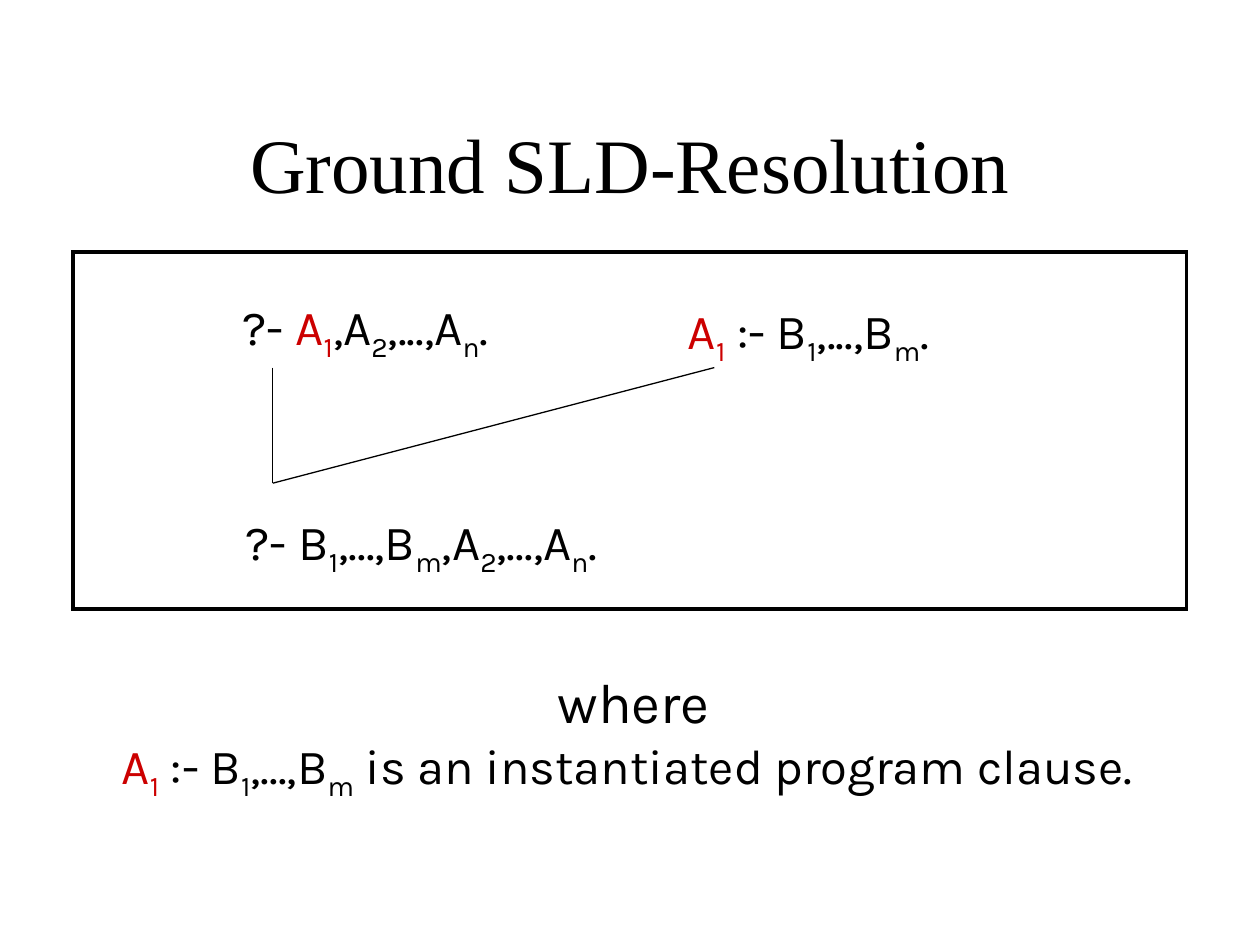
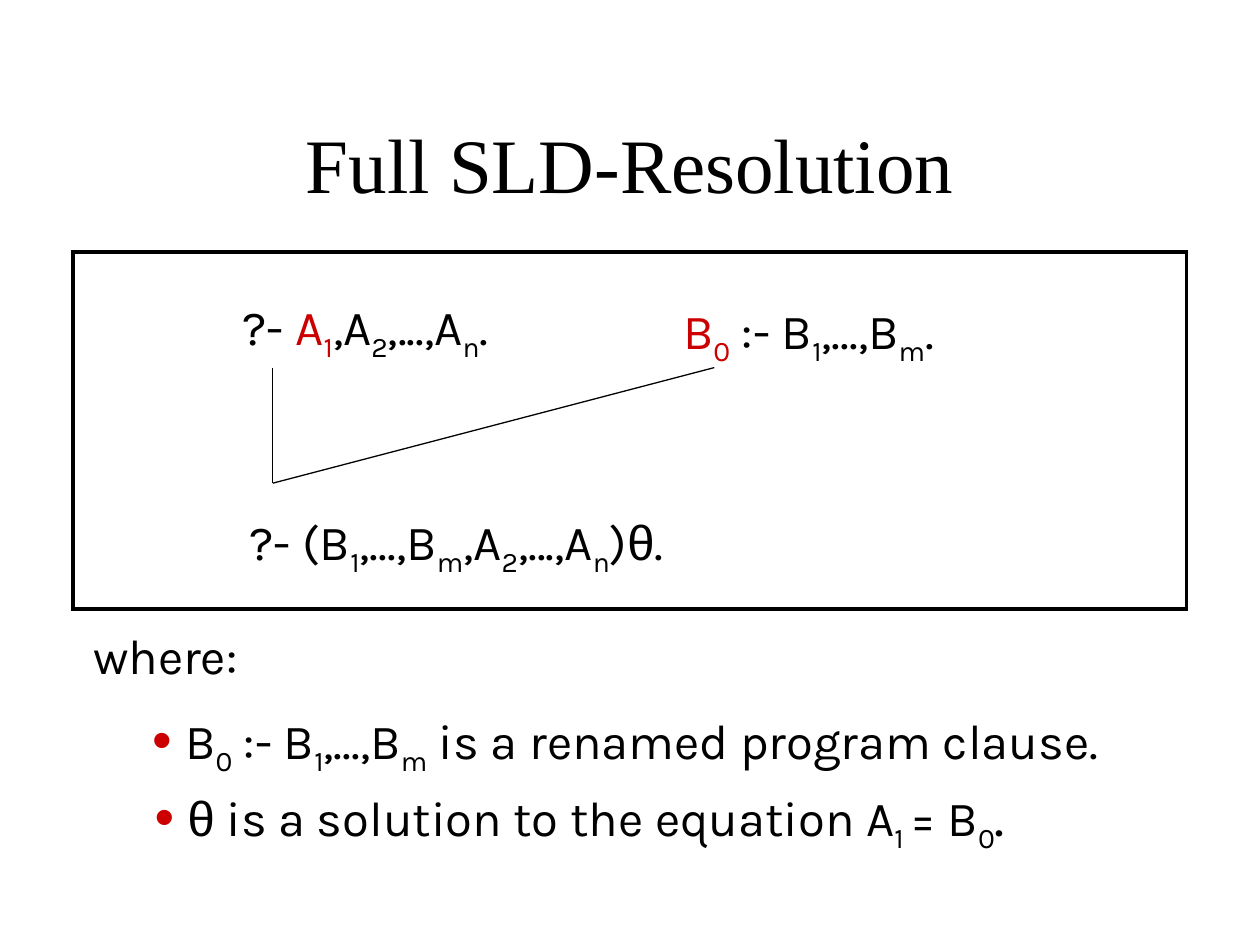
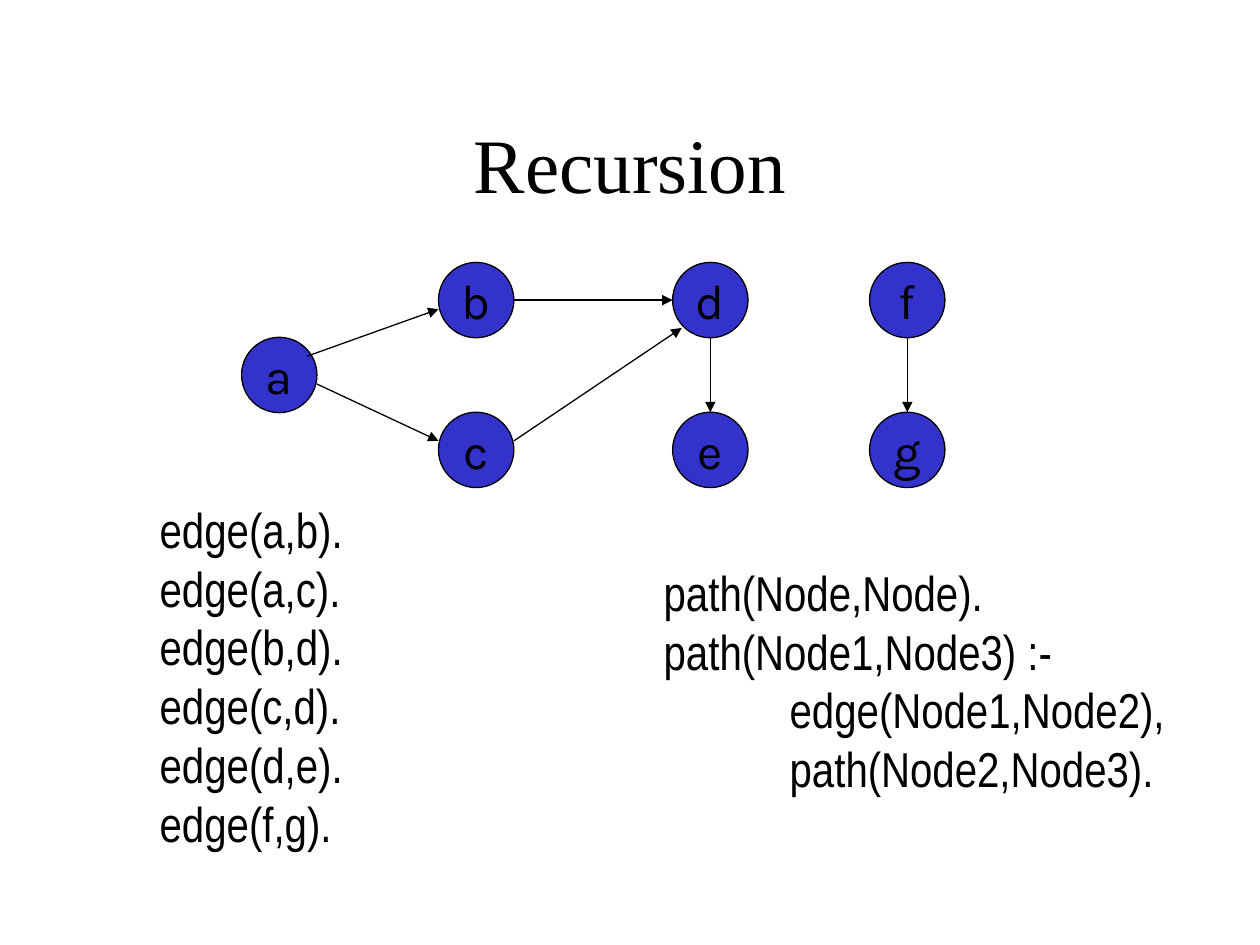
from lxml import etree
from pptx import Presentation
from pptx import util as u
from pptx.dml.color import RGBColor
from pptx.enum import shapes, text
from pptx.oxml import ns

COLORS = {"ink": "000000", "paper": "FFFFFF", "accent": "CC0000", "node": "3333CC"}
BODY, TITLE, CODE, GREEK = "Karla", "Times New Roman", "Arial Narrow", "Arial"
BULLET = "Arial"
LEFT, CENTER = text.PP_ALIGN.LEFT, text.PP_ALIGN.CENTER

# Graph: node positions (cm) and edges with their ends as fractions of a node
DIAMETER = 1.52
COLUMNS = (4.87, 8.84, 13.56, 17.53)
UPPER, MIDDLE, LOWER = 5.29, 6.8, 8.31
NODES = {
    "a": (COLUMNS[0], MIDDLE),
    "b": (COLUMNS[1], UPPER), "c": (COLUMNS[1], LOWER),
    "d": (COLUMNS[2], UPPER), "e": (COLUMNS[2], LOWER),
    "f": (COLUMNS[3], UPPER), "g": (COLUMNS[3], LOWER),
}
EDGES = [
    ("a", (0.87, 0.25), "b", (0, 0.62)),
    ("a", (1, 0.62), "c", (0, 0.38)),
    ("b", (1, 0.5), "d", (0, 0.5)),
    ("c", (1, 0.38), "d", (0.12, 0.87)),
    ("d", (0.5, 1), "e", (0.5, 0)),
    ("f", (0.5, 1), "g", (0.5, 0)),
]


def color(name):
    return RGBColor.from_string(COLORS[name])


# Runs: (text, options)
def plain(words, **options):
    return (words, options)


def atom(letter, index, **options):
    """A letter with its subscript."""
    return [(letter, options), (index, {**options, "sub": True})]


def sequence(letter, first, last):
    return [*atom(letter, first), plain(",...,"), *atom(letter, last)]


B_BODY = sequence("B", "1", "m")
A_REST = sequence("A", "2", "n")


def clause(head, index, ending, shade="accent"):
    return [*atom(head, index, shade=shade), plain(" :- "), *B_BODY, plain(ending)]


def add_run(paragraph, words, size=28, font=BODY, shade="ink", sub=False):
    run = paragraph.add_run()
    run.text = words
    run.font.size, run.font.name = u.Pt(size), font
    run.font.color.rgb = color(shade)
    if sub:
        run.font._element.set("baseline", "-25000")


def fill_paragraphs(frame, lines, align=LEFT):
    for number, runs in enumerate(lines):
        paragraph = frame.paragraphs[0] if number == 0 else frame.add_paragraph()
        paragraph.alignment = align
        for words, options in runs:
            add_run(paragraph, words, **options)


def add_text(slide, left, top, width, height, lines, align=LEFT, wrap=False):
    box = slide.shapes.add_textbox(u.Cm(left), u.Cm(top), u.Cm(width), u.Cm(height))
    frame = box.text_frame
    frame.word_wrap = wrap
    frame.auto_size = text.MSO_AUTO_SIZE.SHAPE_TO_FIT_TEXT
    fill_paragraphs(frame, lines, align)
    return frame


def add_title(slide, words):
    frame = add_text(slide, 1.91, 1.7, 21.59, 3.18,
                     [[plain(words, size=44, font=TITLE)]], CENTER, wrap=True)
    frame.auto_size = text.MSO_AUTO_SIZE.NONE
    frame.vertical_anchor = text.MSO_ANCHOR.MIDDLE


def add_figure(slide, kind, left, top, width, height, fill, outline, weight=0.75):
    figure = slide.shapes.add_shape(kind, u.Cm(left), u.Cm(top), u.Cm(width), u.Cm(height))
    figure.shadow.inherit = False
    figure.fill.solid()
    figure.fill.fore_color.rgb = color(fill)
    figure.line.color.rgb = color(outline)
    figure.line.width = u.Pt(weight)
    etree.SubElement(figure.line._get_or_add_ln(), ns.qn("a:miter"), lim="800000")
    return figure


def add_line(slide, start, end, arrow=False):
    line = slide.shapes.add_connector(
        shapes.MSO_CONNECTOR.STRAIGHT, *(u.Cm(value) for value in (*start, *end)))
    line.line.color.rgb = color("ink")
    line.line.width = u.Pt(0.75)
    if arrow:
        etree.SubElement(line.line._get_or_add_ln(), ns.qn("a:tailEnd"), type="triangle")
    etree.SubElement(line._element.spPr, ns.qn("a:effectLst"))


def add_bullet(slide, left, top, width, runs):
    frame = add_text(slide, left, top, width, 1.75,
                     [[plain(" ", size=32, shade="accent"), *runs]])
    properties = frame.paragraphs[0]._p.get_or_add_pPr()
    properties.set("marL", "0")
    properties.set("indent", "0")
    shade = etree.SubElement(properties, ns.qn("a:buClr"))
    etree.SubElement(shade, ns.qn("a:srgbClr"), val=COLORS["accent"])
    etree.SubElement(properties, ns.qn("a:buFont"), typeface=BULLET)
    etree.SubElement(properties, ns.qn("a:buChar"), char="•")


def add_resolution(slide, head, index, resolvent, left, width):
    """Frame with a goal and a clause that lead to the resolvent."""
    rectangle = shapes.MSO_SHAPE.RECTANGLE
    add_figure(slide, rectangle, 1.48, 5.08, 22.44, 7.2, "paper", "ink", 2.25)
    goal = [plain("?- "), *atom("A", "1", shade="accent"), plain(","), *A_REST, plain(".")]
    add_text(slide, 4.64, 5.85, 6.25, 1.6, [goal])
    add_figure(slide, rectangle, 4.24, 7.41, 14.81, 4.45, "paper", "paper")
    meeting = (5.5, 9.74)
    add_line(slide, (5.5, 7.41), meeting)
    add_line(slide, meeting, (14.4, 7.41))
    add_text(slide, 10.8, 5.93, 11, 1.6, [clause(head, index, ".")], CENTER, wrap=True)
    add_text(slide, left, 10.18, width, 1.6, [resolvent])


def add_graph(slide):
    for name, (left, top) in NODES.items():
        node = add_figure(slide, shapes.MSO_SHAPE.OVAL, left, top,
                          DIAMETER, DIAMETER, "node", "ink")
        node.text_frame.word_wrap = False
        node.text_frame.vertical_anchor = text.MSO_ANCHOR.MIDDLE
        fill_paragraphs(node.text_frame, [[plain(name)]], CENTER)
    for source, leaving, target, entering in EDGES:
        start, end = (
            [corner + DIAMETER * part for corner, part in zip(NODES[name], parts)]
            for name, parts in ((source, leaving), (target, entering)))
        add_line(slide, start, end, arrow=True)


def add_code(slide, left, top, width, height, lines):
    return add_text(slide, left, top, width, height,
                    [[plain(line, font=CODE)] for line in lines], wrap=True)


def ground_slide(slide):
    add_resolution(slide, "A", "1",
                   [plain("?- "), *B_BODY, plain(","), *A_REST, plain(".")], 4.7, 8.76)
    add_title(slide, "Ground SLD-Resolution")
    add_text(slide, 1.63, 13.34, 22.02, 2.97,
             [[plain(" where", size=32)],
              clause("A", "1", " is an instantiated program clause.")], CENTER)


def full_slide(slide):
    theta = plain("θ", font=GREEK)
    add_resolution(slide, "B", "0",
                   [plain("?- ("), *B_BODY, plain(","), *A_REST, plain(")"), theta, plain(".")],
                   4.78, 9.86)
    add_title(slide, "Full SLD-Resolution")
    add_text(slide, 1.63, 12.49, 3.68, 1.45, [[plain("where:")]])
    add_bullet(slide, 2.82, 14.05, 20.8,
               clause("B", "0", " is a renamed program clause.", shade="ink"))
    add_bullet(slide, 2.87, 15.61, 18.36,
               [theta, plain(" is a solution to the equation "), *atom("A", "1 "),
                plain("= "), *atom("B", "0"), plain(".", size=32)])


def recursion_slide(slide):
    add_title(slide, "Recursion")
    # Wide enough to keep each indented condition on one line
    rules = add_code(slide, 13.13, 11.21, 11.5, 5,
                     ["path(Node,Node).", "path(Node1,Node3) :-",
                      "edge(Node1,Node2),", "path(Node2,Node3)."])
    for condition in rules.paragraphs[2:]:
        condition._p.get_or_add_pPr().set("marL", str(u.Cm(2.54)))
    add_code(slide, 2.97, 9.94, 5, 7.37,
             [f"edge({source},{target})." for source, _, target, _ in EDGES])
    add_graph(slide)


def main():
    deck = Presentation()
    deck.slide_width, deck.slide_height = u.Cm(25.4), u.Cm(19.05)
    for build in (ground_slide, full_slide, recursion_slide):
        build(deck.slides.add_slide(deck.slide_layouts[6]))
    deck.save("out.pptx")


if __name__ == "__main__":
    main()
